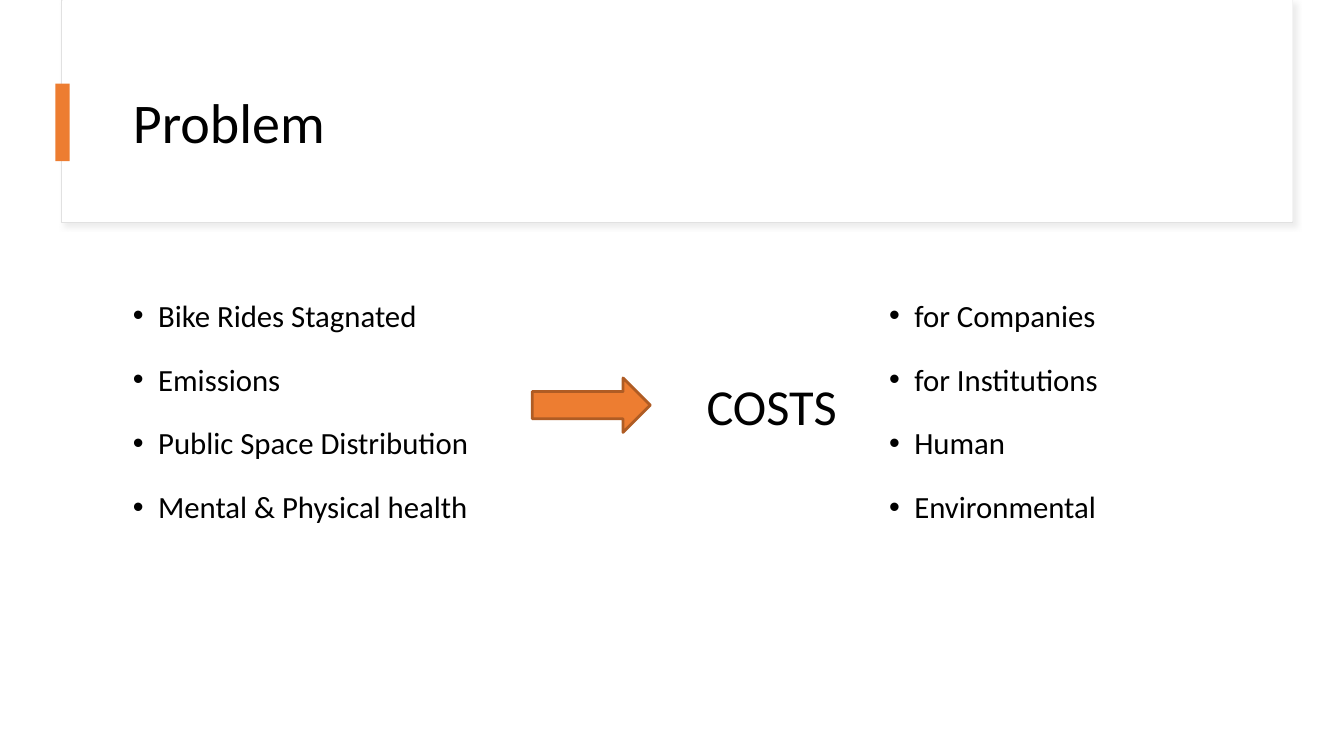
from lxml import etree
from pptx import Presentation
from pptx.dml.color import RGBColor
from pptx.enum.shapes import MSO_SHAPE
from pptx.enum.text import MSO_ANCHOR
from pptx.oxml.ns import qn
from pptx.util import Inches, Pt

RECT = MSO_SHAPE.RECTANGLE
RIGHT_ARROW = MSO_SHAPE.RIGHT_ARROW
TOP = MSO_ANCHOR.TOP
MIDDLE = MSO_ANCHOR.MIDDLE


def rgb(value):
    return RGBColor.from_string(value)


class SlideBuilder:
    """Holds the style and the current slide, and adds elements to it."""

    font = "Calibri"
    ink = "000000"
    paper = "FFFFFF"
    accent = "ED7D31"
    accent_dark = "AF5C24"
    border = "E1E1E1"
    shade = "D9D9D9"

    def __init__(self, slide):
        self.slide = slide

    def shape(self, kind, box, fill, line=None, width=1):
        sp = self.slide.shapes.add_shape(kind, *map(Inches, box))
        sp.shadow.inherit = False
        sp.fill.solid()
        sp.fill.fore_color.rgb = rgb(fill)
        if line:
            sp.line.color.rgb = rgb(line)
            sp.line.width = Pt(width)
        else:
            sp.line.fill.background()
        return sp

    def shadow(self, sp, blur, dist, angle, opacity):
        effects = sp._element.spPr.find(qn("a:effectLst"))
        outer = etree.SubElement(
            effects, qn("a:outerShdw"), blurRad=str(Pt(blur)),
            dist=str(Pt(dist)), dir=str(angle * 60000), algn="tl", rotWithShape="0")
        color = etree.SubElement(outer, qn("a:srgbClr"), val=self.shade)
        etree.SubElement(color, qn("a:alpha"), val=str(opacity * 1000))

    def bullet(self, p, indent):
        pPr = p._p.get_or_add_pPr()
        pPr.set("marL", str(Inches(indent)))
        pPr.set("indent", str(-Inches(indent)))
        color = etree.SubElement(pPr, qn("a:buClr"))
        etree.SubElement(color, qn("a:srgbClr"), val=self.ink)
        etree.SubElement(pPr, qn("a:buFont"), typeface="Arial")
        etree.SubElement(pPr, qn("a:buChar"), char="•")

    def text(self, lines, box, size, anchor=TOP, spacing=1.0, after=0, bullets=False):
        tf = self.slide.shapes.add_textbox(*map(Inches, box)).text_frame
        tf.word_wrap = True
        tf.vertical_anchor = anchor
        for i, line in enumerate(lines):
            p = tf.add_paragraph() if i else tf.paragraphs[0]
            p.line_spacing = spacing
            p.space_after = Pt(after)
            if bullets:
                self.bullet(p, 0.25)
            r = p.add_run()
            r.text = line
            r.font.name = self.font
            r.font.size = Pt(size)
            r.font.color.rgb = rgb(self.ink)

    def bullet_list(self, lines, box):
        self.text(lines, box, 22, spacing=1.5, after=6, bullets=True)


def main():
    prs = Presentation()
    prs.slide_width = Inches(13.33)
    prs.slide_height = Inches(7.5)
    s = SlideBuilder(prs.slides.add_slide(prs.slide_layouts[6]))

    header = s.shape(RECT, (0.61, 0, 12.21, 2.21), s.paper, s.border, 0.75)
    s.shadow(header, blur=4, dist=3, angle=45, opacity=50)
    s.shape(RECT, (0.62, 0, 12.2, 2.2), s.paper)
    s.text(["Problem"], (1.22, 0.6, 11.12, 1.29), 40, anchor=MIDDLE, spacing=0.9, after=6)
    s.shape(RECT, (0.55, 0.83, 0.14, 0.77), s.accent)

    s.bullet_list(["Bike Rides Stagnated", "Emissions", "Public Space Distribution",
                   "Mental & Physical health"], (1.22, 2.71, 4.18, 4.04))
    s.shape(RIGHT_ARROW, (5.28, 3.75, 1.17, 0.54), s.accent, s.accent_dark, 2)
    s.bullet_list(["for Companies", "for Institutions", "Human", "Environmental"],
                  (8.72, 2.71, 4.18, 2.82))
    s.text(["COSTS"], (6.91, 3.67, 2.24, 0.7), 36)

    prs.save("out.pptx")


if __name__ == "__main__":
    main()
